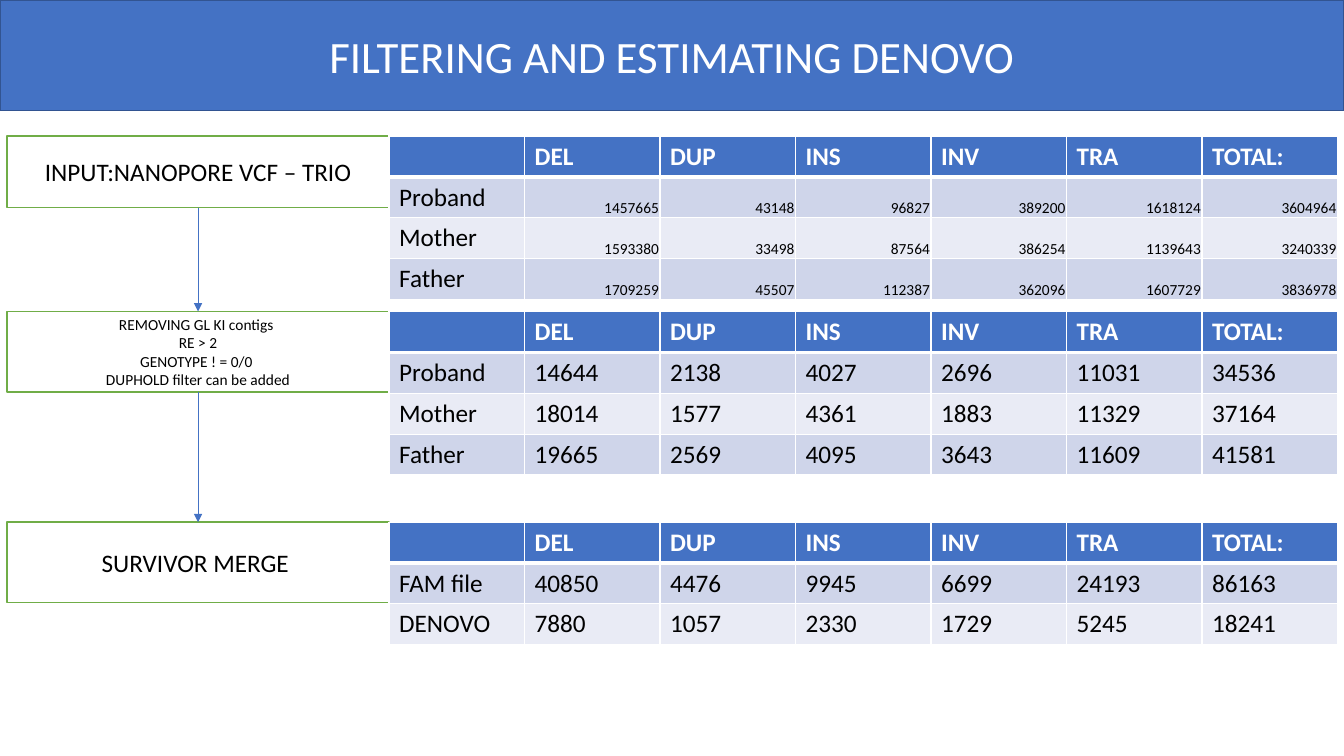
from lxml import etree
from pptx import Presentation
from pptx.dml.color import RGBColor
from pptx.enum.shapes import MSO_CONNECTOR, MSO_SHAPE
from pptx.enum.text import MSO_ANCHOR, PP_ALIGN
from pptx.oxml.ns import qn
from pptx.util import Pt

RECT = MSO_SHAPE.RECTANGLE
STRAIGHT = MSO_CONNECTOR.STRAIGHT
MIDDLE, BOTTOM = MSO_ANCHOR.MIDDLE, MSO_ANCHOR.BOTTOM
CENTER, RIGHT = PP_ALIGN.CENTER, PP_ALIGN.RIGHT

FONT = "Calibri"
BLUE, NAVY, GREEN = "4472C4", "325491", "70AD47"
WHITE, BLACK = "FFFFFF", "000000"
BANDS = ("CFD5EA", "E9EBF5")

BOX_LEFT, BOX_WIDTH = 5.04, 272.88
TABLE_LEFT, COL_WIDTH, ROW_HEIGHT = 277.92, 96.8, 28.8
HEADER = ["", "DEL", "DUP", "INS", "INV", "TRA", "TOTAL:"]

# Each step: top, box height, box text size, box lines, table number size, table rows
STEPS = [
    (97.2, 51.12, 18, ["INPUT:NANOPORE VCF – TRIO"], 11, [
        ["Proband", 1457665, 43148, 96827, 389200, 1618124, 3604964],
        ["Mother", 1593380, 33498, 87564, 386254, 1139643, 3240339],
        ["Father", 1709259, 45507, 112387, 362096, 1607729, 3836978],
    ]),
    (222.48, 57.6, 11, ["REMOVING GL KI contigs ", "RE > 2", "GENOTYPE ! = 0/0 ",
                        "DUPHOLD filter can be added"], 18, [
        ["Proband", 14644, 2138, 4027, 2696, 11031, 34536],
        ["Mother", 18014, 1577, 4361, 1883, 11329, 37164],
        ["Father", 19665, 2569, 4095, 3643, 11609, 41581],
    ]),
    (372.96, 57.6, 18, ["SURVIVOR MERGE "], 18, [
        ["FAM file", 40850, 4476, 9945, 6699, 24193, 86163],
        ["DENOVO", 7880, 1057, 2330, 1729, 5245, 18241],
    ]),
]


def rgb(value):
    """Turn a hex string into a colour."""
    return RGBColor.from_string(value)


def style_paragraph(p, size, color, bold=False, align=None):
    """Set the font and alignment of a paragraph."""
    p.font.name, p.font.size, p.font.bold = FONT, Pt(size), bold
    p.font.color.rgb = rgb(color)
    p.alignment = align


def add_box(slide, left, top, width, height, lines, size, fill, line, color):
    """Add an outlined rectangle with centred text."""
    sp = slide.shapes.add_shape(RECT, Pt(left), Pt(top), Pt(width), Pt(height))
    sp.shadow.inherit = False
    sp.fill.solid()
    sp.fill.fore_color.rgb = rgb(fill)
    sp.line.color.rgb = rgb(line)
    sp.line.width = Pt(1)
    tf = sp.text_frame
    tf.word_wrap = True
    tf.vertical_anchor = MIDDLE
    tf.text = "\n".join(lines)
    for p in tf.paragraphs:
        style_paragraph(p, size, color, align=CENTER)
    return sp


def add_arrow(slide, upper, lower):
    """Join the bottom of one box to the top of the next with an arrow."""
    cxn = slide.shapes.add_connector(STRAIGHT, 0, 0, 0, 0)
    cxn.begin_connect(upper, 2)
    cxn.end_connect(lower, 0)
    cxn.line.color.rgb = rgb(BLUE)
    cxn.line.width = Pt(0.5)
    ln = cxn.line._get_or_add_ln()
    etree.SubElement(ln, qn("a:tailEnd"), type="triangle")
    etree.SubElement(cxn._element.spPr, qn("a:effectLst"))


def add_borders(cell, top, bottom):
    """Give a cell white borders of the given top and bottom widths."""
    tcPr = cell._tc.get_or_add_tcPr()
    for side, width in (("L", 1), ("R", 1), ("T", top), ("B", bottom)):
        ln = etree.SubElement(tcPr, qn(f"a:ln{side}"), w=str(Pt(width)))
        fill = etree.SubElement(ln, qn("a:solidFill"))
        etree.SubElement(fill, qn("a:srgbClr"), val=WHITE)


def fill_cell(cell, row, col, value, number_size):
    """Write and format one table cell."""
    add_borders(cell, 3 if row == 1 else 1, 3 if row == 0 else 1)
    cell.fill.solid()
    cell.fill.fore_color.rgb = rgb(BANDS[(row - 1) % 2] if row else BLUE)
    cell.text = str(value)
    p = cell.text_frame.paragraphs[0]
    if row == 0:
        style_paragraph(p, 18, WHITE, bold=True)
    elif col and number_size < 18:
        style_paragraph(p, number_size, BLACK, align=RIGHT)
        cell.vertical_anchor = BOTTOM
        cell.margin_left = cell.margin_right = cell.margin_top = Pt(0.75)
        cell.margin_bottom = 0
    else:
        style_paragraph(p, 18, BLACK)


def add_count_table(slide, top, rows, number_size):
    """Add a table of variant counts under the shared header."""
    grid = [HEADER] + rows
    frame = slide.shapes.add_table(
        len(grid), len(HEADER), Pt(TABLE_LEFT), Pt(top),
        Pt(COL_WIDTH * len(HEADER)), Pt(ROW_HEIGHT * len(grid)))
    table = frame.table
    table.first_row = table.horz_banding = False
    for column in table.columns:
        column.width = Pt(COL_WIDTH)
    for r, values in enumerate(grid):
        table.rows[r].height = Pt(ROW_HEIGHT)
        for c, value in enumerate(values):
            fill_cell(table.cell(r, c), r, c, value, number_size)


def main():
    """Build the slide and save it."""
    prs = Presentation()
    prs.slide_width, prs.slide_height = Pt(960), Pt(540)
    slide = prs.slides.add_slide(prs.slide_layouts[6])
    add_box(slide, 0, 0, 960, 79.2, ["FILTERING AND ESTIMATING DENOVO"], 32,
            BLUE, NAVY, WHITE)
    boxes = [add_box(slide, BOX_LEFT, top, BOX_WIDTH, height, lines, size,
                     WHITE, GREEN, BLACK)
             for top, height, size, lines, _, _ in STEPS]
    for upper, lower in zip(boxes, boxes[1:]):
        add_arrow(slide, upper, lower)
    for top, _, _, _, number_size, rows in STEPS:
        add_count_table(slide, top, rows, number_size)
    prs.save("out.pptx")


if __name__ == "__main__":
    main()
